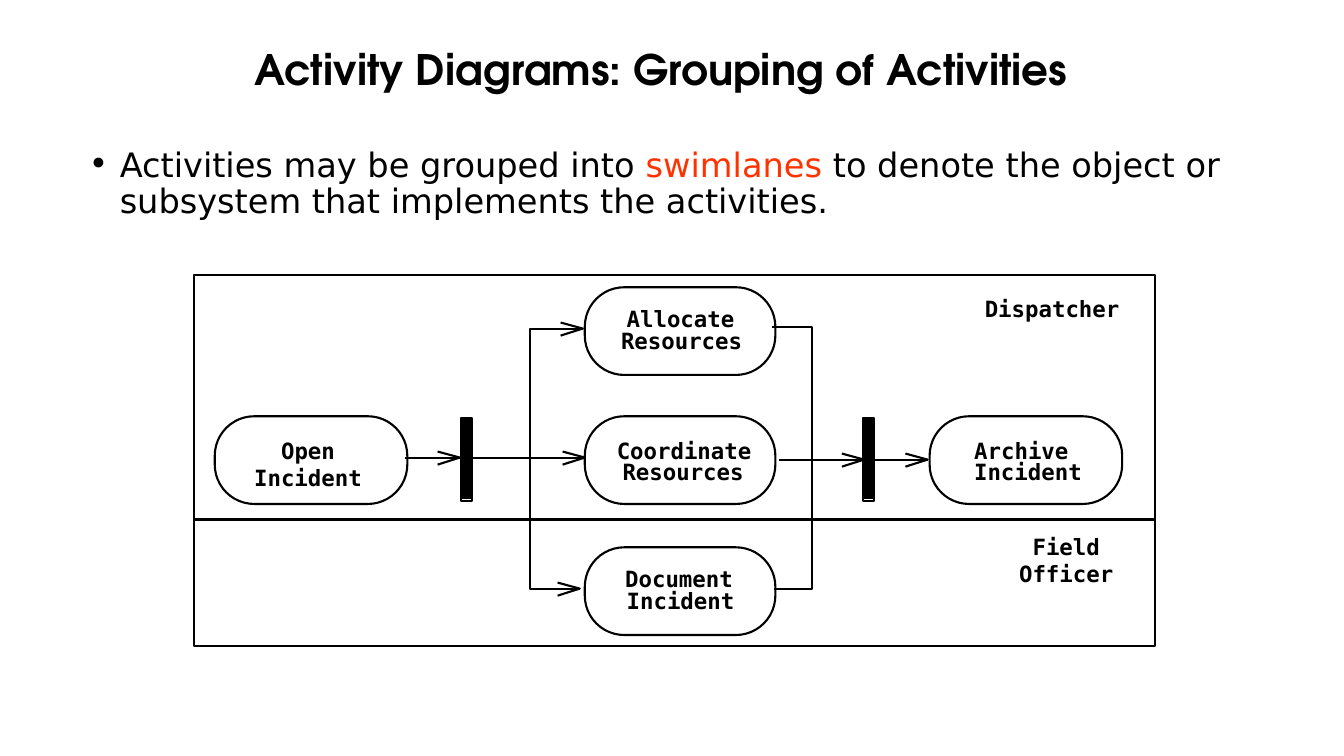
from lxml import etree
from pptx import Presentation
from pptx.dml.color import RGBColor
from pptx.enum import shapes, text
from pptx.oxml import ns
from pptx.util import Inches, Pt

BLACK, ACCENT = "000000", "FF3300"
LABEL = {"name": "DejaVu Sans Mono", "size": Pt(16), "bold": True}
BODY = {"name": "DejaVu Sans", "size": Pt(24), "bold": False}
HEADING = {"name": "TeX Gyre Adventor", "size": Pt(30), "bold": True}

# Left, top, width of each activity
ACTIVITIES = [
    (2.13, 4.13, 1.91),
    (5.8, 2.85, 1.89),
    (5.8, 4.13, 1.89),
    (5.8, 5.43, 1.89),
    (9.22, 4.13, 1.91),
]
# Wording, left, top, width, height
LABELS = [
    ("Open Incident", 2.44, 4.34, 1.23, 0.54),
    ("Allocate", 6.15, 3.03, 1.2, 0.27),
    ("Resources", 6.12, 3.25, 1.28, 0.27),
    ("Coordinate", 6.1, 4.34, 1.37, 0.27),
    ("Resources", 6.15, 4.55, 1.25, 0.27),
    ("Document", 6.12, 5.61, 1.23, 0.27),
    ("Incident", 6.15, 5.83, 1.2, 0.27),
    ("Archive", 9.55, 4.34, 1.16, 0.27),
    ("Incident", 9.6, 4.55, 1.19, 0.27),
    ("Dispatcher", 9.73, 2.93, 1.41, 0.27),
    ("Field Officer", 9.73, 5.29, 1.69, 0.54),
]
# Start, tip and height of each flow
FLOWS = [
    (4.02, 4.56, 4.54),
    (4.69, 5.8, 4.54),
    (7.73, 8.57, 4.56),
    (8.64, 9.2, 4.56),
    (5.54, 5.78, 3.26),
    (5.52, 5.75, 5.84),
]
BRANCHES = [
    [(5.54, 3.26), (5.26, 3.26), (5.26, 5.84), (5.52, 5.84)],
    [(7.66, 3.24), (8.05, 3.24), (8.05, 5.84), (7.68, 5.84)],
]
SYNC_BARS = [4.57, 8.56]
SWIMLANES = [(2.73, 2.43), (5.15, 1.26)]


def color(value):
    return RGBColor.from_string(value)


def style(font, formats, value=BLACK):
    for key, setting in formats.items():
        setattr(font, key, setting)
    font.color.rgb = color(value)


def outline(shape):
    shape.line.color.rgb = color(BLACK)
    shape.line.width = Pt(1.5)


def add_outlined(slide, kind, *box):
    shape = slide.shapes.add_shape(kind, *map(Inches, box))
    shape.shadow.inherit = False
    shape.fill.background()
    outline(shape)
    return shape


def add_polyline(slide, points):
    corners = [(Inches(x), Inches(y)) for x, y in points]
    builder = slide.shapes.build_freeform(*corners[0])
    builder.add_line_segments(corners[1:], close=False)
    polyline = builder.convert_to_shape()
    polyline.shadow.inherit = False
    polyline.fill.background()
    outline(polyline)


def add_flow(slide, start, tip, y):
    shaft = slide.shapes.add_connector(
        shapes.MSO_CONNECTOR.STRAIGHT, *map(Inches, (start, y, tip, y)))
    outline(shaft)
    etree.SubElement(shaft._element.spPr, ns.qn("a:effectLst"))
    add_polyline(slide, [(tip - 0.22, y - 0.06), (tip, y), (tip - 0.22, y + 0.07)])


def add_sync_bar(slide, left):
    bar = add_outlined(slide, shapes.MSO_SHAPE.RECTANGLE, left + 0.01, 4.15, 0.09, 0.8)
    bar.fill.solid()
    bar.fill.fore_color.rgb = color(BLACK)
    bar.line.fill.background()
    add_outlined(slide, shapes.MSO_SHAPE.RECTANGLE, left, 4.15, 0.11, 0.82)


def add_label(slide, wording, *box):
    frame = slide.shapes.add_textbox(*map(Inches, box)).text_frame
    frame.word_wrap = True
    frame.auto_size = text.MSO_AUTO_SIZE.SHAPE_TO_FIT_TEXT
    for side in ("left", "top", "right", "bottom"):
        setattr(frame, f"margin_{side}", 0)
    line = frame.paragraphs[0]
    line.alignment = text.PP_ALIGN.CENTER
    line.text = wording
    style(line.runs[0].font, LABEL)


def set_title(slide, wording):
    title = slide.shapes.title
    title.left, title.top, title.width, title.height = map(Inches, (0.61, 0.24, 11.89, 0.94))
    title.text_frame.vertical_anchor = text.MSO_ANCHOR.MIDDLE
    line = title.text_frame.paragraphs[0]
    line.text = wording
    line.alignment = text.PP_ALIGN.CENTER
    line.line_spacing = 0.9
    style(line.runs[0].font, HEADING)


def add_statement(slide, parts):
    frame = slide.shapes.add_textbox(*map(Inches, (0.78, 1.42, 11.67, 5.25))).text_frame
    frame.word_wrap = True
    statement = frame.paragraphs[0]
    statement.line_spacing = 0.9
    properties = statement._p.get_or_add_pPr()
    properties.set("marL", str(Inches(0.31)))
    properties.set("indent", str(-Inches(0.31)))
    etree.SubElement(properties, ns.qn("a:buFont")).set("typeface", "DejaVu Sans")
    etree.SubElement(properties, ns.qn("a:buChar")).set("char", "•")
    for wording, value in parts:
        run = statement.add_run()
        run.text = wording
        style(run.font, BODY, value)


def main():
    deck = Presentation()
    deck.slide_width, deck.slide_height = Inches(13.33), Inches(7.5)
    slide = deck.slides.add_slide(deck.slide_layouts.get_by_name("Title Only"))

    # Heading and statement
    set_title(slide, "Activity Diagrams: Grouping of Activities")
    add_statement(slide, [
        ("Activities may be grouped into ", BLACK),
        ("swimlanes", ACCENT),
        (" to denote the object or subsystem that implements the activities.", BLACK),
    ])

    # Activities and synchronization bars
    for left, top, width in ACTIVITIES:
        activity = add_outlined(
            slide, shapes.MSO_SHAPE.ROUNDED_RECTANGLE, left, top, width, 0.87)
        activity.adjustments[0] = 0.45
    for left in SYNC_BARS:
        add_sync_bar(slide, left)

    # Flows between them
    for flow in FLOWS:
        add_flow(slide, *flow)
    for branch in BRANCHES:
        add_polyline(slide, branch)

    # Swimlanes and all labels
    for top, height in SWIMLANES:
        add_outlined(slide, shapes.MSO_SHAPE.RECTANGLE, 1.92, top, 9.54, height)
    for label in LABELS:
        add_label(slide, *label)

    deck.save("out.pptx")


if __name__ == "__main__":
    main()
